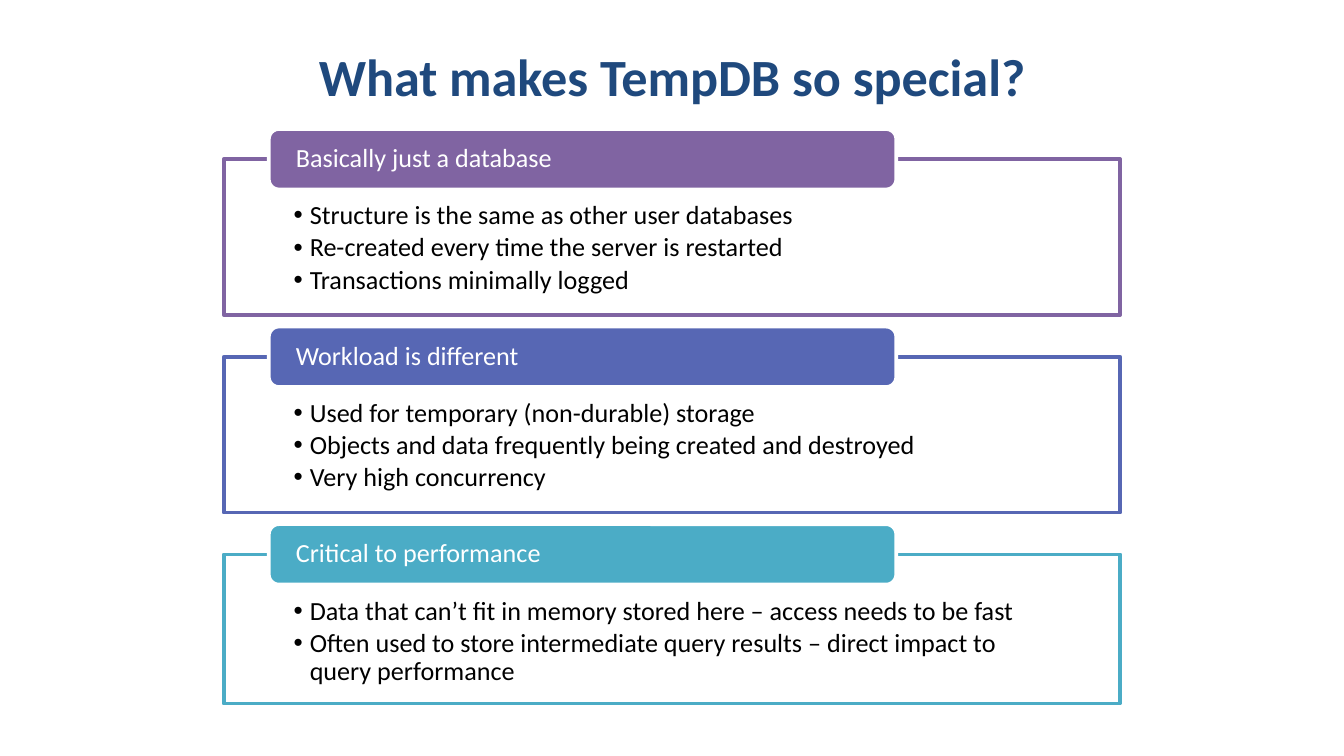
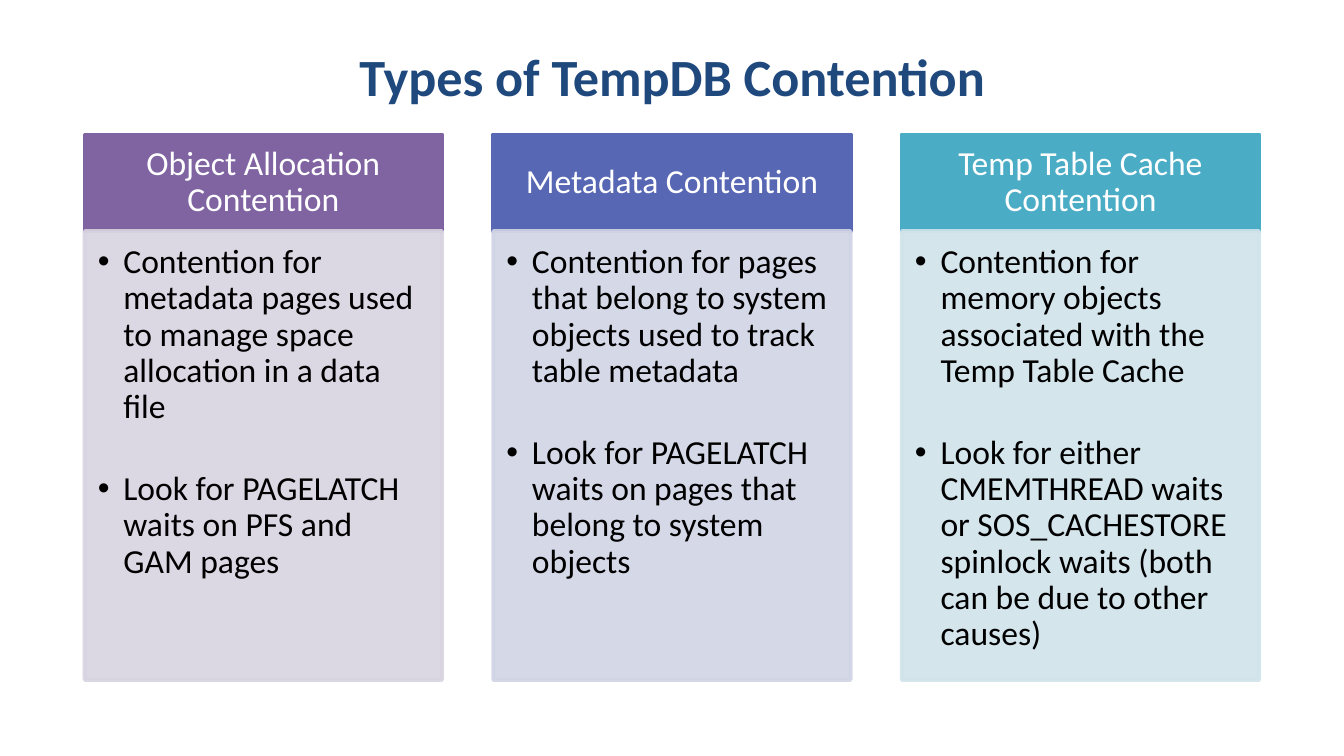
from pptx import Presentation
from pptx.dml.color import RGBColor
from pptx.enum.shapes import MSO_SHAPE
from pptx.enum.text import MSO_ANCHOR, MSO_AUTO_SIZE, PP_ALIGN
from pptx.oxml.ns import qn
from pptx.util import Inches, Pt
from lxml.etree import SubElement

# Content
REASONS = ("What makes TempDB so special?", [
    ("purple", "Basically just a database", [
        "Structure is the same as other user databases",
        "Re-created every time the server is restarted",
        "Transactions minimally logged"]),
    ("indigo", "Workload is different", [
        "Used for temporary (non-durable) storage",
        "Objects and data frequently being created and destroyed",
        "Very high concurrency"]),
    ("teal", "Critical to performance", [
        "Data that can’t fit in memory stored here – access needs to be fast",
        "Often used to store intermediate query results – direct impact to "
        "query performance"]),
])
CONTENTION = ("Types of TempDB Contention", [
    ("purple", "Object Allocation Contention", [
        "Contention for metadata pages used to manage space allocation in a data file",
        "Look for PAGELATCH waits on PFS and GAM pages"]),
    ("indigo", "Metadata Contention", [
        "Contention for pages that belong to system objects used to track table metadata",
        "Look for PAGELATCH waits on pages that belong to system objects"]),
    ("teal", "Temp Table Cache Contention", [
        "Contention for memory objects associated with the Temp Table Cache",
        "Look for either CMEMTHREAD waits or SOS_CACHESTORE spinlock waits "
        "(both can be due to other causes)"]),
])

# Shared look
COLORS = {"title": "1F497D", "white": "FFFFFF", "black": "000000",
          "purple": "8064A2", "indigo": "5767B4", "teal": "4BACC6",
          "purple_tint": "D8D3E0", "indigo_tint": "D1D4E5", "teal_tint": "D0E3EA"}
FONT = "Calibri"
WIDTH = 10
HEIGHT = WIDTH * 9 / 16


def rgb(name):
    return RGBColor.from_string(COLORS[name])


def style_run(r, size, color, bold=False):
    for key, value in {"name": FONT, "size": Pt(size), "bold": bold}.items():
        setattr(r.font, key, value)
    r.font.color.rgb = rgb(color)


def set_frame(tf, insets, anchor):
    sides = ("margin_left", "margin_top", "margin_right", "margin_bottom")
    for side, inset in zip(sides, insets):
        setattr(tf, side, Inches(inset))
    tf.word_wrap = True
    tf.auto_size = MSO_AUTO_SIZE.NONE
    tf.vertical_anchor = anchor


def add_bullet(p, indent):
    pPr = p._p.get_or_add_pPr()
    pPr.set("marL", str(Inches(indent)))
    pPr.set("indent", str(-Inches(indent)))
    SubElement(pPr, qn("a:buFont")).set("typeface", "Arial")
    SubElement(pPr, qn("a:buChar")).set("char", "•")


def add_box(s, kind, box, fill, line, alpha=None, line_alpha=None):
    sp = s.shapes.add_shape(kind, *map(Inches, box))
    sp.shadow.inherit = False
    sp.fill.solid()
    sp.fill.fore_color.rgb = rgb(fill)
    sp.line.color.rgb = rgb(line)
    sp.line.width = Pt(2)
    for part, percent in ((sp._element.spPr, alpha), (sp.line._ln, line_alpha)):
        if percent:
            color = part.find(qn("a:solidFill")).find(qn("a:srgbClr"))
            SubElement(color, qn("a:alpha")).set("val", str(percent * 1000))
    return sp


def write(sp, lines, size, color, insets, anchor=MSO_ANCHOR.TOP,
          align=PP_ALIGN.LEFT, indent=None, gap=0):
    tf = sp.text_frame
    set_frame(tf, insets, anchor)
    for i, line in enumerate(lines):
        p = tf.paragraphs[0] if i == 0 else tf.add_paragraph()
        if indent:
            add_bullet(p, indent)
        p.alignment = align
        p.line_spacing = 0.9
        p.space_after = Pt(gap)
        r = p.add_run()
        r.text = line
        style_run(r, size, color)


def add_titled_slide(prs, title):
    s = prs.slides.add_slide(prs.slide_layouts[5])
    sp = s.shapes.title
    box = (0.5, 0.25, WIDTH - 1, 0.62)
    for key, value in zip(("left", "top", "width", "height"), box):
        setattr(sp, key, Inches(value))
    set_frame(sp.text_frame, (0.1, 0.05, 0.1, 0.05), MSO_ANCHOR.MIDDLE)
    p = sp.text_frame.paragraphs[0]
    p.alignment = PP_ALIGN.CENTER
    r = p.add_run()
    r.text = title
    style_run(r, 28, "title", bold=True)
    return s


def add_reasons(prs, title, reasons):
    """Outlined panels stacked down the slide, each with a tab on its top edge."""
    s = add_titled_slide(prs, title)
    tab_h, panel_w, pitch = 0.45, 6.67, 1.47
    left = (WIDTH - panel_w) / 2
    for i, (color, heading, points) in enumerate(reasons):
        top = 0.96 + i * pitch
        panel_h = 1.16 if len(points) > 2 else 1.11
        panel = add_box(s, MSO_SHAPE.RECTANGLE,
                        (left, top + tab_h / 2, panel_w, panel_h),
                        "white", color, alpha=90)
        write(panel, points, 14, "black", (0.52, 0.32, 0.52, 0.11),
              indent=0.12, gap=2.1)
        tab = add_box(s, MSO_SHAPE.ROUNDED_RECTANGLE,
                      (2, top, panel_w * 0.7, tab_h), color, "white")
        write(tab, [heading], 14, "white", (0.18, 0, 0.18, 0), MSO_ANCHOR.MIDDLE)


def add_contention(prs, title, types):
    """Equal columns centred on the slide, each a header over a tinted list."""
    s = add_titled_slide(prs, title)
    col_w, gap, top, head_h, body_h = 2.66, 0.38, 1, 0.72, 3.34
    left = (WIDTH - len(types) * col_w - (len(types) - 1) * gap) / 2
    for i, (color, heading, points) in enumerate(types):
        x = left + i * (col_w + gap)
        head = add_box(s, MSO_SHAPE.RECTANGLE, (x, top, col_w, head_h), color, color)
        write(head, [heading], 18, "white", (0.14, 0.08, 0.14, 0.08),
              MSO_ANCHOR.MIDDLE, PP_ALIGN.CENTER)
        tint = color + "_tint"
        body = add_box(s, MSO_SHAPE.RECTANGLE, (x, top + head_h, col_w, body_h),
                       tint, tint, alpha=90, line_alpha=90)
        write(body, points, 18, "black", (0.1, 0.1, 0.14, 0.16),
              indent=0.19, gap=24.4)


def main():
    prs = Presentation()
    prs.slide_width, prs.slide_height = Inches(WIDTH), Inches(HEIGHT)
    add_reasons(prs, *REASONS)
    add_contention(prs, *CONTENTION)
    prs.save("out.pptx")


if __name__ == "__main__":
    main()
